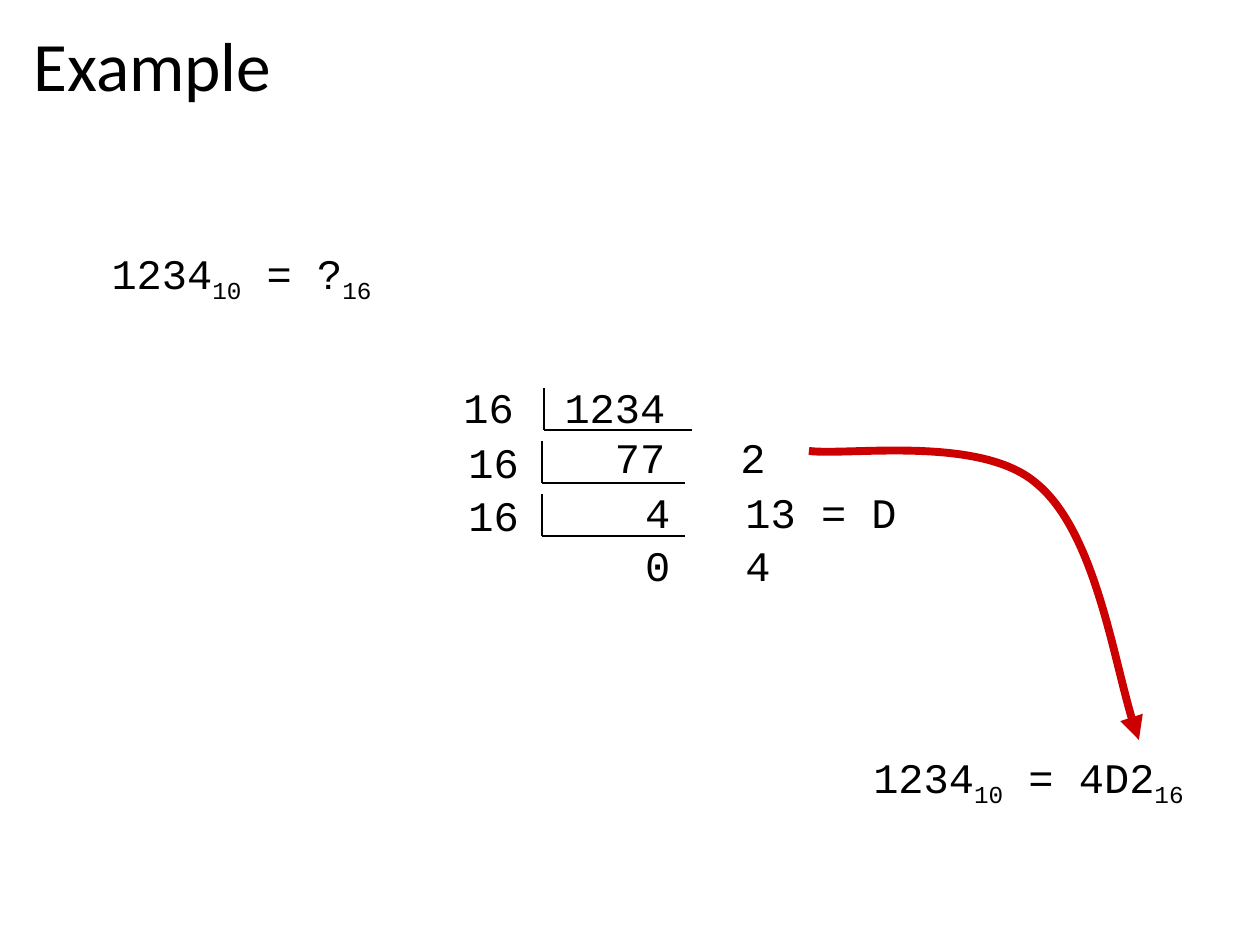
from dataclasses import dataclass

from lxml.etree import SubElement
from pptx import Presentation
from pptx.dml.color import RGBColor
from pptx.enum.shapes import MSO_CONNECTOR
from pptx.enum.text import MSO_ANCHOR, PP_ALIGN
from pptx.oxml.ns import qn
from pptx.util import Pt

PX = 914400 // 126


@dataclass(frozen=True)
class Theme:
    """Colours, fonts and sizes of the slide."""
    ink: RGBColor = RGBColor(0, 0, 0)
    accent: RGBColor = RGBColor(0xCC, 0, 0)
    title_font: str = "Calibri"
    code_font: str = "Courier New"
    title_size: float = 39.6
    code_size: float = 24
    rule_width: float = 1.5
    arrow_width: float = 4.5


theme = Theme()


def style(span, font, size):
    """Give a run its font, size and ink colour."""
    span.font.name = font
    span.font.size = Pt(size)
    span.font.color.rgb = theme.ink


def add_code_box(page, left, top, width, height, lines):
    """Add a code text box; each line is a list of (text, is_subscript)."""
    box = page.shapes.add_textbox(left * PX, top * PX, width * PX, height * PX)
    frame = box.text_frame
    frame.word_wrap = True
    for index, parts in enumerate(lines):
        para = frame.paragraphs[0] if index == 0 else frame.add_paragraph()
        for text, is_subscript in parts:
            span = para.add_run()
            span.text = text
            style(span, theme.code_font, theme.code_size)
            if is_subscript:
                span.font._element.set("baseline", "-25000")
    return box


deck = Presentation()
deck.slide_width, deck.slide_height = 1260 * PX, 945 * PX
page = deck.slides.add_slide(deck.slide_layouts[5])

# Title
title = page.shapes.title
title.left, title.top, title.width, title.height = (
    21 * PX, 23 * PX, 1212 * PX, 93 * PX)
title.text_frame.text = "Example"
title.text_frame.vertical_anchor = MSO_ANCHOR.MIDDLE
heading = title.text_frame.paragraphs[0]
heading.alignment = PP_ALIGN.LEFT
heading.line_spacing = 0.9
style(heading.runs[0], theme.title_font, theme.title_size)

# Question and answer
for left, top, result in ((42, 241, "?"), (829, 745, "4D2")):
    equation = [("1234", False), ("10", True), (f" = {result}", False), ("16", True)]
    box = add_code_box(page, left, top, 399, 63, [equation])
    box.text_frame.paragraphs[0].alignment = PP_ALIGN.CENTER

# Curved arrow from the first remainder to the answer
curve = [(847, 456), (980, 435), (1036, 483), (1094, 530), (1118, 685), (1139, 740)]
builder = page.shapes.build_freeform(809, 451, scale=PX)
builder.add_line_segments(curve, close=False)
arrow = builder.convert_to_shape()
arrow.shadow.inherit = False
arrow.fill.background()
arrow.line.color.rgb = theme.accent
arrow.line.width = Pt(theme.arrow_width)
outline = next(arrow._element.iter(qn("a:path")))
segments = outline.findall(qn("a:lnTo"))
for first in range(0, len(segments), 3):
    bezier = SubElement(outline, qn("a:cubicBezTo"))
    for segment in segments[first:first + 3]:
        bezier.append(segment[0])
        outline.remove(segment)
SubElement(arrow.line._get_or_add_ln(), qn("a:tailEnd"), type="triangle")

# Division steps: quotients end at one tab stop, remainders start at the next
tab_stops = ((202, "r"), (277, "l"))
steps = (
    # box left, top, width; bracket left, top, right, bottom; lines
    ((451, 375, 340), (544, 388, 692, 430), ("16\t1234", "\t77\t2")),
    ((456, 430, 489), (542, 441, 685, 483), ("16", "\t4\t13 = D")),
    ((456, 483, 489), (542, 494, 685, 536), ("16", "\t0\t4")),
)
for place, (left, top, right, bottom), lines in steps:
    box = add_code_box(page, *place, 113, [[(line, False)] for line in lines])
    for para in box.text_frame.paragraphs:
        tabs = SubElement(para._p.get_or_add_pPr(), qn("a:tabLst"))
        for position, align in tab_stops:
            SubElement(tabs, qn("a:tab"), pos=str(position * PX), algn=align)
    for x, y in ((left, top), (right, bottom)):
        rule = page.shapes.add_connector(
            MSO_CONNECTOR.STRAIGHT, left * PX, bottom * PX, x * PX, y * PX)
        rule.line.color.rgb = theme.ink
        rule.line.width = Pt(theme.rule_width)
        SubElement(rule._element.spPr, qn("a:effectLst"))

deck.save("out.pptx")
